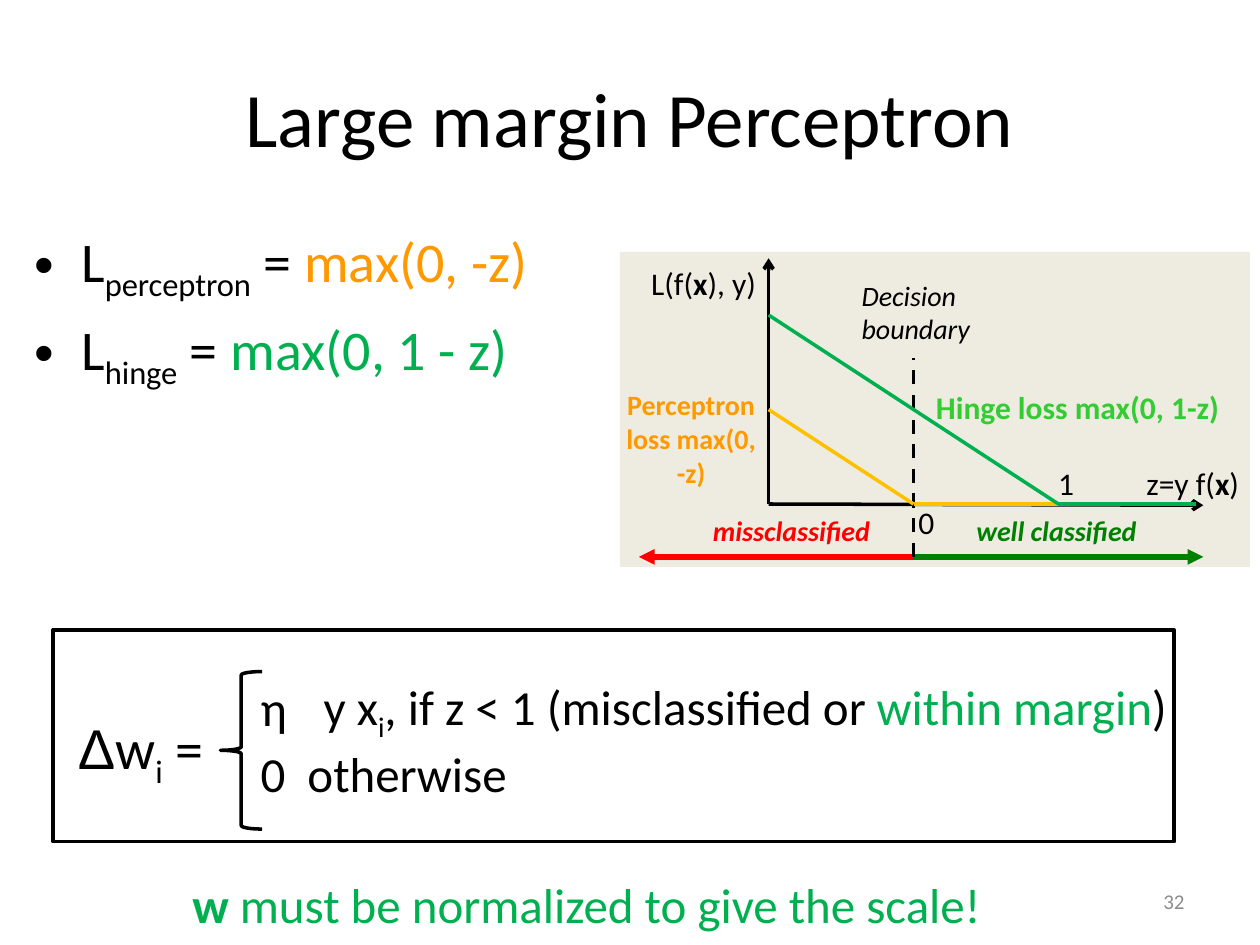
from dataclasses import dataclass

from lxml import etree
from pptx import Presentation
from pptx.dml.color import RGBColor
from pptx.enum.dml import MSO_LINE
from pptx.enum.shapes import MSO_CONNECTOR, MSO_SHAPE
from pptx.enum.text import MSO_ANCHOR, MSO_AUTO_SIZE, PP_ALIGN
from pptx.oxml.ns import qn
from pptx.util import Inches, Pt

LEFT, CENTER, RIGHT = PP_ALIGN.LEFT, PP_ALIGN.CENTER, PP_ALIGN.RIGHT
TOP, MIDDLE = MSO_ANCHOR.TOP, MSO_ANCHOR.MIDDLE
STRAIGHT = MSO_CONNECTOR.STRAIGHT
RECTANGLE, LEFT_BRACE = MSO_SHAPE.RECTANGLE, MSO_SHAPE.LEFT_BRACE
DASH = MSO_LINE.DASH


@dataclass(frozen=True)
class Theme:
    """Fonts, type sizes and colours of the slide."""
    font: str = "Calibri"
    symbol_font: str = "Arial"
    title: int = 44
    body: int = 32
    formula: int = 28
    label: int = 18
    note: int = 16
    number: int = 12
    black: str = "000000"
    gray: str = "8C8C8C"
    panel: str = "EEECE1"
    orange: str = "FF9900"
    amber: str = "FFC000"
    green: str = "00B050"
    bright_green: str = "33CC33"
    dark_green: str = "008000"
    red: str = "FF0000"


@dataclass(frozen=True)
class Box:
    """A rectangle in inches."""
    left: float
    top: float
    width: float
    height: float

    def inside(self, left, top, width, height):
        """Return a box whose place is relative to this one."""
        return Box(self.left + left, self.top + top, width, height)

    def lengths(self):
        """Return left, top, width and height as lengths."""
        return [Inches(v) for v in (self.left, self.top, self.width, self.height)]


THEME = Theme()


def fill_para(para, spans, size, color=THEME.black, align=LEFT, bold=False, italic=False):
    """Write (text, options) spans into a paragraph with a shared font."""
    para.alignment = align
    font = para.font
    font.name, font.size = THEME.font, Pt(size)
    font.bold, font.italic = bold, italic
    font.color.rgb = RGBColor.from_string(color)
    for text, options in spans:
        span = para.add_run()
        span.text = text
        if "color" in options:
            span.font.color.rgb = RGBColor.from_string(options["color"])
        if "bold" in options:
            span.font.bold = options["bold"]
        if "font" in options:
            span.font.name = options["font"]
        if options.get("sub"):
            span.font._element.set("baseline", "-25000")


def add_text(page, box, spans, size, anchor=TOP, **style):
    """Add a wrapping text box with one paragraph and return its frame."""
    frame = page.shapes.add_textbox(*box.lengths()).text_frame
    frame.word_wrap = True
    frame.vertical_anchor = anchor
    fill_para(frame.paragraphs[0], spans, size, **style)
    return frame


def add_line(page, box, start, end, color, width=2, head=None, dash=None):
    """Draw a line between two points given relative to the box."""
    points = [Inches(v) for v in (box.left + start[0], box.top + start[1],
                                  box.left + end[0], box.top + end[1])]
    line = page.shapes.add_connector(STRAIGHT, *points)
    line.line.color.rgb = RGBColor.from_string(color)
    line.line.width = Pt(width)
    if dash is not None:
        line.line.dash_style = dash
    if head:
        etree.SubElement(line.line._get_or_add_ln(), qn("a:tailEnd"), type=head)
    etree.SubElement(line._element.spPr, qn("a:effectLst"))


def add_outline(page, kind, box):
    """Add an unfilled black outline shape."""
    shape = page.shapes.add_shape(kind, *box.lengths())
    shape.shadow.inherit = False
    shape.fill.background()
    shape.line.color.rgb = RGBColor.from_string(THEME.black)
    shape.line.width = Pt(2)


def add_title(page, box):
    """Fill the title placeholder."""
    title = page.shapes.title
    title.left, title.top, title.width, title.height = box.lengths()
    title.text_frame.vertical_anchor = MIDDLE
    fill_para(title.text_frame.paragraphs[0], [("Large margin Perceptron", {})],
              THEME.title, align=CENTER)


def add_losses(page, box):
    """List the two loss functions in the body placeholder."""
    body = page.placeholders[1]
    body.left, body.top, body.width, body.height = box.lengths()
    frame = body.text_frame
    frame.auto_size = MSO_AUTO_SIZE.NONE
    losses = [("perceptron", "max(0, -z)", THEME.orange),
              ("hinge", "max(0, 1 - z)", THEME.green)]
    for index, (name, formula, color) in enumerate(losses):
        para = frame.add_paragraph() if index else frame.paragraphs[0]
        fill_para(para, [("L", {}), (name, {"sub": True}), (" = ", {}),
                         (formula, {"color": color})], THEME.body)


def add_update_rule(page, box):
    """Frame the weight update with its two cases."""
    add_outline(page, LEFT_BRACE, box.inside(1.33, 0.33, 0.33, 1.25))
    add_outline(page, RECTANGLE, box)
    add_text(page, box.inside(0.1, 0.64, 1.3, 0.65),
             [("Δ", {"font": THEME.symbol_font}), ("w", {}), ("i", {"sub": True}), (" =", {})],
             THEME.body, anchor=MIDDLE)
    frame = add_text(page, box.inside(1.55, 0.32, 7.53, 1.35),
                     [("y x", {}), ("i", {"sub": True}),
                      (", if z < 1 (misclassified or ", {}),
                      ("within margin", {"color": THEME.green}), (")", {})], THEME.formula)
    properties = frame.paragraphs[0]._p.get_or_add_pPr()
    properties.set("marL", str(Inches(0.5)))
    properties.set("indent", str(-Inches(0.5)))
    bullet = etree.Element(qn("a:buChar"), char="η")
    bullet_font = etree.Element(qn("a:buFont"), typeface=THEME.font)
    properties.insert(0, bullet)
    properties.insert(0, bullet_font)
    fill_para(frame.add_paragraph(), [("0  otherwise", {})], THEME.formula)


def add_loss_plot(page, box):
    """Draw both losses against the margin z on a tinted panel."""
    zero, base, unit, rise, scale = 2.33, 2.0, 1.15, 0.75, 2.42

    def point(z, loss):
        """Return the place of a loss value in the panel."""
        return zero + unit * z, base - rise * loss

    panel = page.shapes.add_shape(RECTANGLE, *box.lengths())
    panel.shadow.inherit = False
    panel.fill.solid()
    panel.fill.fore_color.rgb = RGBColor.from_string(THEME.panel)
    panel.line.fill.background()

    origin = point(-1, 0)
    add_line(page, box, (zero, scale), (4.63, scale), THEME.dark_green, 3, "triangle")
    add_line(page, box, (zero, scale), (0.15, scale), THEME.red, 3, "triangle")
    add_line(page, box, origin, (origin[0], 0.05), THEME.black, head="arrow")
    add_line(page, box, origin, (4.63, 2.01), THEME.black, head="arrow")
    add_line(page, box, (zero, scale), (zero, 0.84), THEME.black, dash=DASH)
    curves = [(THEME.amber, [(-1, 1), (0, 0), (1.8, 0)]),
              (THEME.green, [(-1, 2), (1, 0), (1.95, 0)])]
    for color, values in curves:
        for start, end in zip(values, values[1:]):
            add_line(page, box, point(*start), point(*end), color)

    strong = {"bold": True}
    axis_labels = [((4.08, 1.63, 1, 0.4), [("z=y f(", {}), ("x", strong), (")", {})]),
                   ((0.15, 0.05, 1.2, 0.4), [("L(f(", {}), ("x", strong), ("), y)", {})]),
                   ((2.27, 1.94, 0.33, 0.4), [("0", {})]),
                   ((3.38, 1.63, 0.33, 0.4), [("1", {})])]
    for place, spans in axis_labels:
        add_text(page, box.inside(*place), spans, THEME.label)

    notes = [((1.82, 0.16, 1.37, 0.64), "Decision boundary", THEME.black, False, True, LEFT),
             ((2.73, 2.03, 1.84, 0.37), "well classified", THEME.dark_green, True, True, LEFT),
             ((0.64, 2.03, 1.69, 0.37), "missclassified", THEME.red, True, True, LEFT),
             ((-0.06, 1.03, 1.25, 0.91), "Perceptron loss max(0, -z)", THEME.orange,
              True, False, CENTER)]
    for place, text, color, bold, italic, align in notes:
        add_text(page, box.inside(*place), [(text, {})], THEME.note,
                 color=color, bold=bold, italic=italic, align=align)
    add_text(page, box.inside(2.41, 1.03, 2.59, 0.4), [("Hinge loss max(0, 1-z)", {})],
             THEME.label, color=THEME.bright_green, bold=True)


def add_footer(page, box):
    """Place the closing remark and the page number."""
    add_text(page, box.inside(0, 0, 8.97, 0.55),
             [("w", {"bold": True}), (" must be normalized to give the scale!", {})],
             THEME.formula, anchor=MIDDLE, color=THEME.green, align=CENTER)
    add_text(page, box.inside(7, 0.05, 2.33, 0.4), [("32", {})], THEME.number,
             anchor=MIDDLE, color=THEME.gray, align=RIGHT)


def main():
    """Build and save the deck."""
    deck = Presentation()
    deck.slide_width, deck.slide_height = Inches(10), Inches(7.5)
    page = deck.slides.add_slide(deck.slide_layouts[1])
    add_title(page, Box(0.5, 0.3, 9, 1.25))
    add_losses(page, Box(0.17, 1.75, 4.6, 1.6))
    add_update_rule(page, Box(0.42, 5, 8.9, 1.68))
    add_loss_plot(page, Box(4.92, 2, 5, 2.5))
    add_footer(page, Box(0.17, 6.9, 9.33, 0.55))
    deck.save("out.pptx")


if __name__ == "__main__":
    main()
